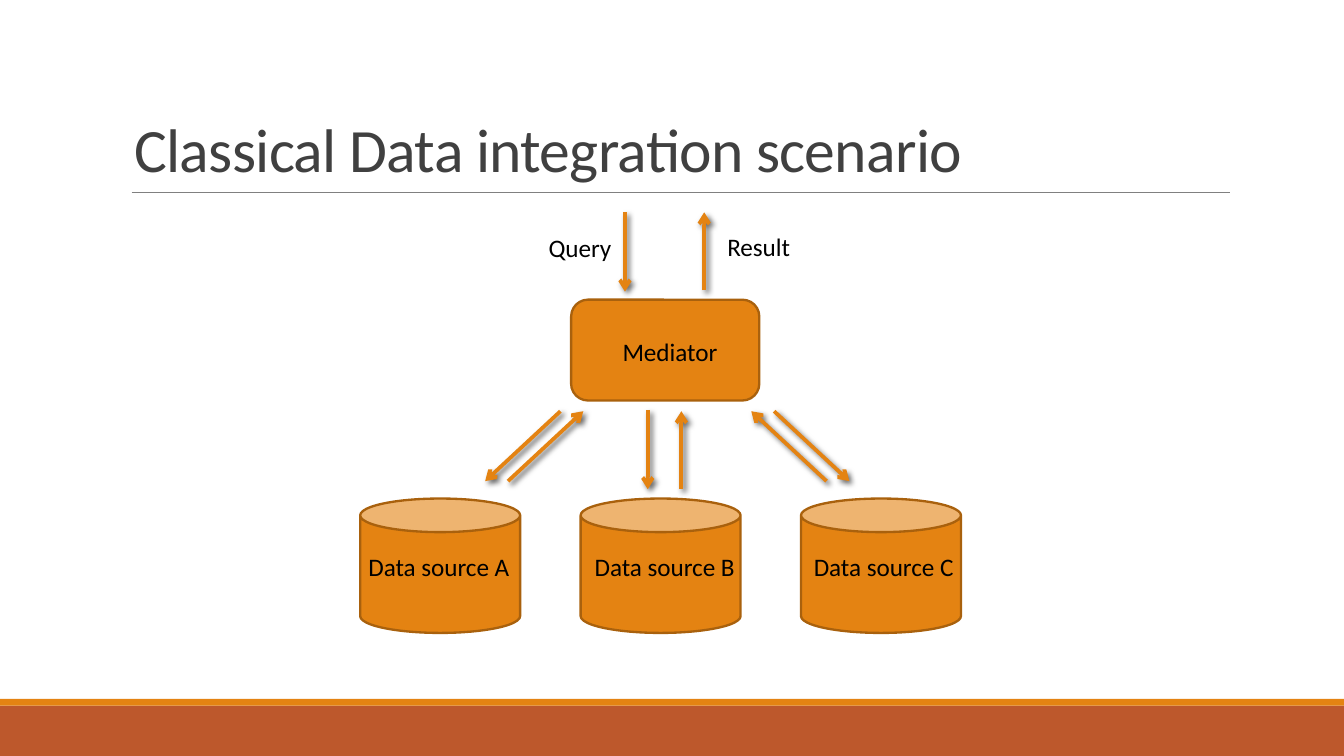
from dataclasses import dataclass

from lxml.etree import SubElement
from pptx import Presentation
from pptx.dml.color import RGBColor
from pptx.enum.shapes import MSO_CONNECTOR, MSO_SHAPE
from pptx.enum.text import MSO_ANCHOR, MSO_AUTO_SIZE, PP_ALIGN
from pptx.oxml import parse_xml
from pptx.oxml.ns import nsdecls, qn
from pptx.util import Inches, Pt


@dataclass(frozen=True)
class Theme:
    font: str = "Calibri"
    orange: str = "E48312"
    outline: str = "A9610D"
    rust: str = "BD582C"
    rule: str = "808080"
    title: str = "404040"
    text: str = "000000"
    title_size: float = 33
    label_size: float = 13.5


THEME = Theme()
LABEL_W, LABEL_H = 2.25, 0.33
SHADOW = (
    f'<a:effectLst {nsdecls("a")}>'
    f'<a:outerShdw blurRad="{Pt(3)}" dist="{Pt(2)}" dir="2700000" rotWithShape="0">'
    f'<a:srgbClr val="{THEME.text}"><a:alpha val="60000"/></a:srgbClr>'
    "</a:outerShdw></a:effectLst>"
)
NO_EFFECT = f'<a:effectLst {nsdecls("a")}/>'


def rgb(color):
    return RGBColor.from_string(color)


def write(tf, text, size=THEME.label_size, color=THEME.text,
          align=PP_ALIGN.CENTER, line_spacing=None, tracking=None):
    p = tf.paragraphs[0]
    p.alignment = align
    p.line_spacing = line_spacing
    r = p.add_run()
    r.text = text
    r.font.name = THEME.font
    r.font.size = Pt(size)
    r.font.color.rgb = rgb(color)
    if tracking is not None:
        r.font._element.set("spc", str(round(tracking * 100)))


def add_block(shapes, kind, x, y, w, h, fill, outline=None):
    sp = shapes.add_shape(kind, Inches(x), Inches(y), Inches(w), Inches(h))
    sp.shadow.inherit = False
    sp.fill.solid()
    sp.fill.fore_color.rgb = rgb(fill)
    if outline:
        sp.line.color.rgb = rgb(outline)
        sp.line.width = Pt(1.25)
    else:
        sp.line.fill.background()


def add_label(shapes, text, x, y):
    sp = shapes.add_textbox(Inches(x), Inches(y), Inches(LABEL_W), Inches(LABEL_H))
    tf = sp.text_frame
    tf.word_wrap = True
    tf.auto_size = MSO_AUTO_SIZE.SHAPE_TO_FIT_TEXT
    write(tf, text)


def add_line(shapes, start, end, color, width, effect=NO_EFFECT):
    line = shapes.add_connector(
        MSO_CONNECTOR.STRAIGHT, *(Inches(v) for v in (*start, *end)))
    line.line.color.rgb = rgb(color)
    line.line.width = Pt(width)
    line._element.spPr.append(parse_xml(effect))
    return line


def add_arrow(shapes, start, end):
    line = add_line(shapes, start, end, THEME.orange, 2, SHADOW)
    SubElement(line.line._get_or_add_ln(), qn("a:tailEnd"), type="arrow")


def add_title(s, text):
    sp = s.shapes.title
    sp.left, sp.top, sp.width, sp.height = (Inches(v) for v in (0.9, 0.24, 8.25, 1.19))
    tf = sp.text_frame
    tf.word_wrap = True
    tf.auto_size = MSO_AUTO_SIZE.NONE
    tf.vertical_anchor = MSO_ANCHOR.BOTTOM
    write(tf, text, size=THEME.title_size, color=THEME.title,
          align=PP_ALIGN.LEFT, line_spacing=0.85, tracking=-0.38)


def add_frame(s):
    add_block(s.shapes, MSO_SHAPE.RECTANGLE, 0, 5.25, 10, 0.38, THEME.rust)
    add_block(s.shapes, MSO_SHAPE.RECTANGLE, 0, 5.2, 10, 0.05, THEME.orange)
    add_line(s.shapes, (0.98, 1.43), (9.15, 1.43), THEME.rule, 0.5)


def add_sources(s):
    shapes = s.shapes.add_group_shape().shapes
    for i in range(3):
        add_block(shapes, MSO_SHAPE.CAN, 2.68 + i * 1.64, 3.71, 1.19, 1,
                  THEME.orange, THEME.outline)
    for name, x in zip("ABC", (2.14, 3.82, 5.45)):
        add_label(shapes, f"Data source {name}", x, 4.05)


def add_mediator(s):
    shapes = s.shapes.add_group_shape().shapes
    add_block(shapes, MSO_SHAPE.ROUNDED_RECTANGLE, 4.25, 2.23, 1.4, 0.75,
              THEME.orange, THEME.outline)
    add_label(shapes, "Mediator", 3.86, 2.45)


def add_message(s, text, x, y, start, end):
    shapes = s.shapes.add_group_shape().shapes
    add_arrow(shapes, start, end)
    add_label(shapes, text, x, y)


def main():
    prs = Presentation()
    prs.slide_width = Inches(10)
    prs.slide_height = prs.slide_width * 9 // 16
    s = prs.slides.add_slide(prs.slide_layouts[5])

    add_frame(s)
    add_title(s, "Classical Data integration scenario")
    add_sources(s)
    add_mediator(s)
    add_message(s, "Query", 3.19, 1.68, (4.65, 1.58), (4.65, 2.17))
    add_message(s, "Result", 4.52, 1.67, (5.24, 2.16), (5.24, 1.58))

    mediator_y, source_y = 3.06, 3.58
    for top_x, bottom_x in ((4.17, 3.61), (5.76, 6.32)):
        add_arrow(s.shapes, (top_x, mediator_y), (bottom_x, source_y))
    for bottom_x, top_x in ((3.78, 4.34), (6.15, 5.59)):
        add_arrow(s.shapes, (bottom_x, source_y), (top_x, mediator_y))
    add_arrow(s.shapes, (4.82, 3.05), (4.82, 3.64))
    add_arrow(s.shapes, (5.07, 3.64), (5.07, 3.06))

    prs.save("out.pptx")


if __name__ == "__main__":
    main()
